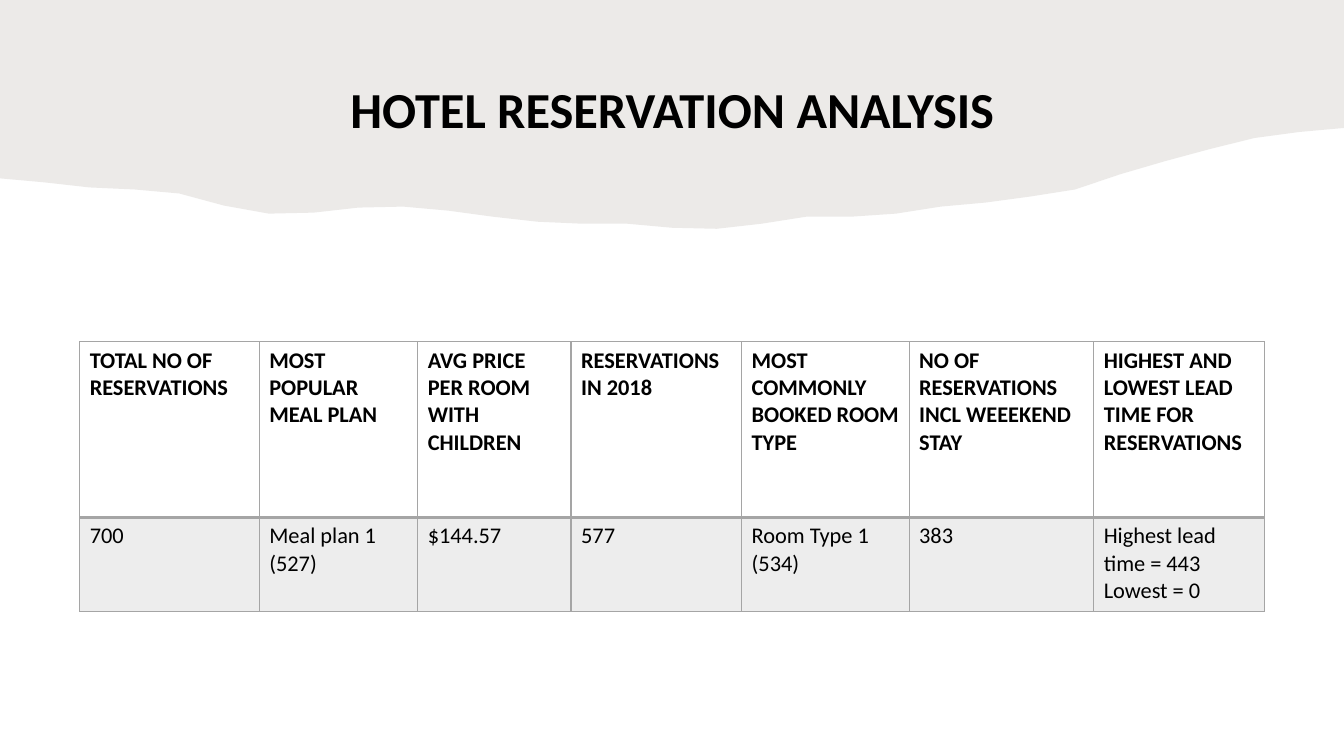
from lxml import etree
from pptx import Presentation
from pptx.dml.color import RGBColor
from pptx.enum.text import MSO_ANCHOR, PP_ALIGN
from pptx.oxml.ns import qn
from pptx.util import Inches, Pt

CENTER = PP_ALIGN.CENTER
BOTTOM = MSO_ANCHOR.BOTTOM
WIDTH, HEIGHT = 13.33, 7.5
FONT = "Calibri"
BLACK, TAUPE, GREY = "000000", "82766A", "A5A5A5"

# Depth of the torn edge at equal steps from left to right, in inches
EDGE_DEPTHS = [
    1.77, 1.81, 1.86, 1.88, 1.92, 2.04, 2.12, 2.11, 2.06, 2.05, 2.09, 2.15, 2.2,
    2.22, 2.22, 2.26, 2.27, 2.22, 2.15, 2.15, 2.12, 2.05, 2.01, 1.95, 1.88,
    1.73, 1.6, 1.48, 1.37, 1.31, 1.27,
]

TABLE_ROWS = [
    ["TOTAL NO OF\nRESERVATIONS", "MOST POPULAR MEAL PLAN",
     "AVG PRICE PER ROOM WITH CHILDREN", "RESERVATIONS IN 2018",
     "MOST COMMONLY BOOKED ROOM TYPE", "NO OF RESERVATIONS INCL WEEEKEND STAY",
     "HIGHEST AND LOWEST LEAD TIME FOR RESERVATIONS"],
    ["700", "Meal plan 1 (527)", "$144.57", "577", "Room Type 1 (534)", "383",
     "Highest lead time = 443\nLowest = 0"],
]
COLUMN_SHARES = [1.78, 1.57, 1.52, 1.69, 1.66, 1.83, 1.69]
ROW_SHARES = [1.75, 0.94]


def color(value):
    return RGBColor.from_string(value)


def paint(fill, value, opacity, parent):
    """Fill with a translucent colour; parent is the XML that holds the fill."""
    fill.solid()
    fill.fore_color.rgb = color(value)
    solid = parent.find(qn("a:solidFill"))
    etree.SubElement(solid[0], qn("a:alpha"), val=str(opacity * 1000))


def write(frame, text, size, bold, **paragraph_format):
    frame.text = text
    for paragraph in frame.paragraphs:
        for name, value in paragraph_format.items():
            setattr(paragraph, name, value)
        font = paragraph.runs[0].font
        for name, value in {"name": FONT, "size": Pt(size), "bold": bold}.items():
            setattr(font, name, value)
        font.color.rgb = color(BLACK)


def set_borders(properties, widths):
    """Place the four edge lines ahead of the cell's fill."""
    for index, (edge, width) in enumerate(widths.items()):
        line = etree.Element(qn(f"a:ln{edge}"), w=str(Pt(width)))
        solid = etree.SubElement(line, qn("a:solidFill"))
        etree.SubElement(solid, qn("a:srgbClr"), val=GREY)
        properties.insert(index, line)


def add_torn_band(slide, left, top, width):
    step = width / (len(EDGE_DEPTHS) - 1)
    edge = [(Inches(left + index * step), Inches(top + depth))
            for index, depth in enumerate(EDGE_DEPTHS)]
    builder = slide.shapes.build_freeform(Inches(left), Inches(top))
    builder.add_line_segments(edge + [(Inches(left + width), Inches(top))], close=True)
    band = builder.convert_to_shape()
    band.shadow.inherit = False
    band.line.fill.background()
    paint(band.fill, TAUPE, 15, band.element.spPr)


def add_title(slide, left, top, width, height):
    box = slide.shapes.add_textbox(*map(Inches, (left, top, width, height)))
    frame = box.text_frame
    frame.word_wrap = True
    frame.vertical_anchor = BOTTOM
    write(frame, "HOTEL RESERVATION ANALYSIS", 36, True,
          alignment=CENTER, line_spacing=0.9)


def add_summary_table(slide, left, top, width, height):
    box = map(Inches, (left, top, width, height))
    table = slide.shapes.add_table(len(TABLE_ROWS), len(COLUMN_SHARES), *box).table
    table.horz_banding = False
    for column, share in zip(table.columns, COLUMN_SHARES):
        column.width = Inches(width * share / sum(COLUMN_SHARES))
    for row, share in zip(table.rows, ROW_SHARES):
        row.height = Inches(height * share / sum(ROW_SHARES))

    for row_index, texts in enumerate(TABLE_ROWS):
        is_header = row_index == 0
        for column_index, text in enumerate(texts):
            cell = table.cell(row_index, column_index)
            write(cell.text_frame, text, 16, is_header)
            properties = cell._tc.get_or_add_tcPr()
            if is_header:
                cell.fill.background()
            else:
                paint(cell.fill, GREY, 20, properties)
            set_borders(properties, {"L": 1, "R": 1, "T": 1 if is_header else 2,
                                     "B": 2 if is_header else 1})


def main():
    presentation = Presentation()
    presentation.slide_width = Inches(WIDTH)
    presentation.slide_height = Inches(HEIGHT)
    slide = presentation.slides.add_slide(presentation.slide_layouts[6])
    add_torn_band(slide, 0, 0, WIDTH)
    add_title(slide, 0.91, 0.54, 11.52, 0.89)
    add_summary_table(slide, 0.79, 3.39, 11.75, 2.68)
    presentation.save("out.pptx")


if __name__ == "__main__":
    main()
